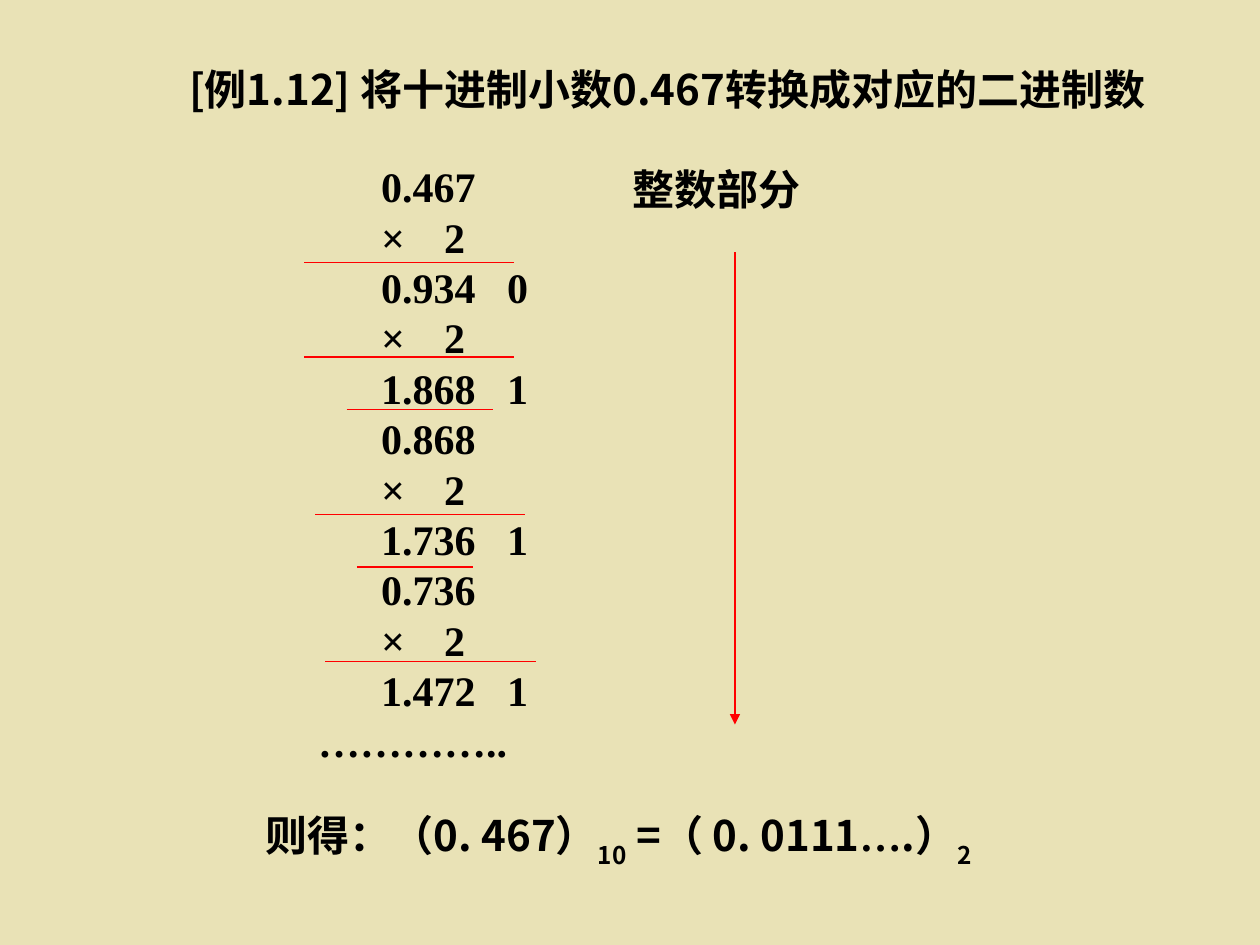
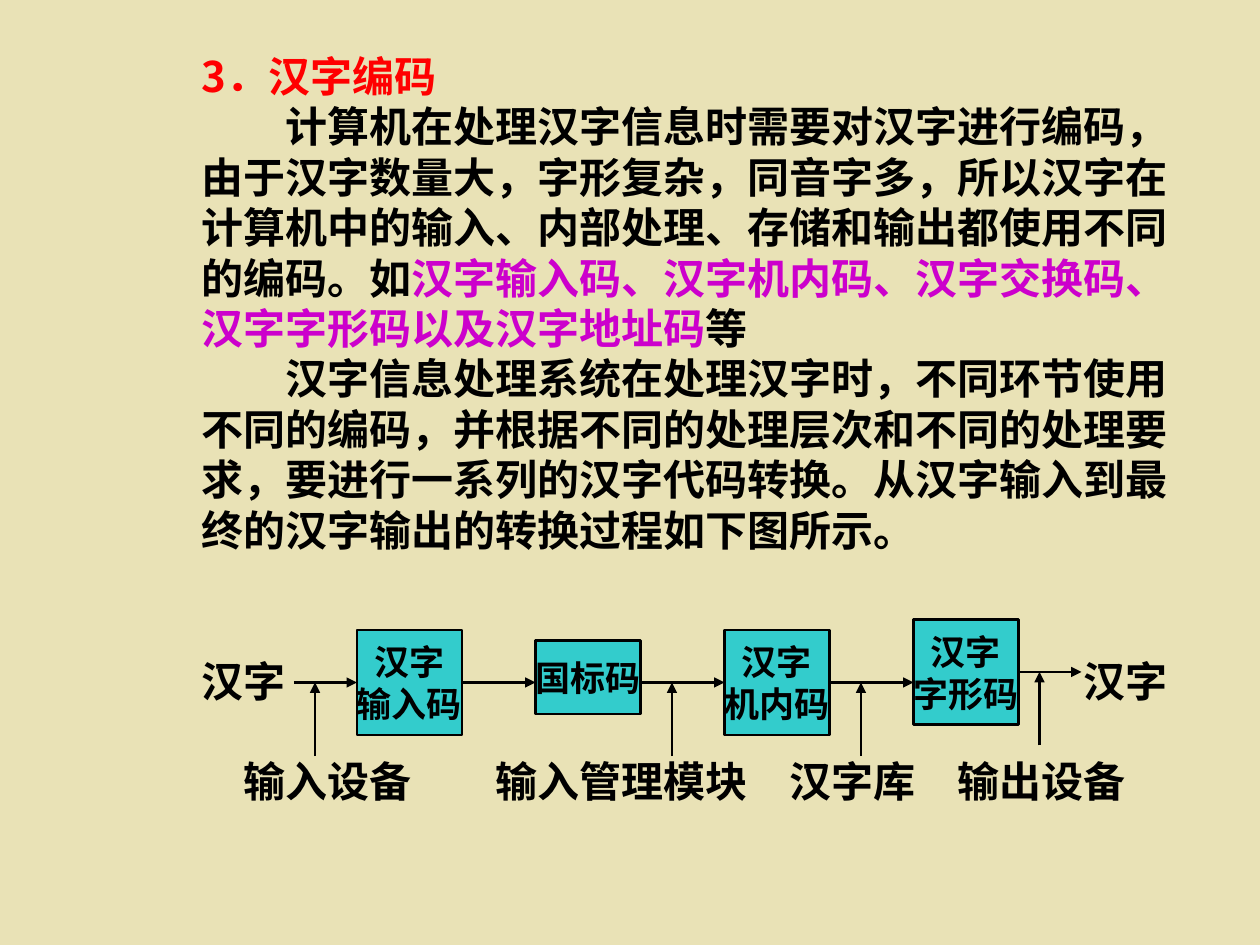
from dataclasses import dataclass
from lxml.etree import SubElement as Sub
from pptx import Presentation
from pptx.dml.color import RGBColor as RGB
from pptx.enum.shapes import MSO_CONNECTOR as Conn, MSO_SHAPE as Kind
from pptx.enum.text import MSO_ANCHOR as Anchor, MSO_AUTO_SIZE as Fit, PP_ALIGN as Align
from pptx.oxml.ns import qn
from pptx.util import Emu, Inches, Pt

# Shared look
HUE = {"back": "E9E2B6", "ink": "000000", "red": "FF0000", "pink": "CC00CC", "box": "33CCCC"}
HAN, ROMAN = "Noto Sans CJK SC", "Times New Roman"
SIZE, LEAD = 24, 28.8   # text size and line pitch in points
COLS, ROWS = 120, 90    # grid of the whole slide
EM, STEP = 4, 4.8       # one character and one text line, in grid cells
LEFT = 19.2             # left edge of running text

prs = Presentation()
prs.slide_width, prs.slide_height = Inches(10), Inches(7.5)
UNIT = prs.slide_width / COLS
fill = prs.slide_master.background.fill
fill.solid()
fill.fore_color.rgb = RGB.from_string(HUE["back"])


@dataclass
class Line:
    x1: float
    y1: float
    x2: float
    y2: float


@dataclass
class Box:
    x: float
    y: float
    high: float
    text: str
    wide: float = 10


@dataclass
class Label:
    col: int
    y: float
    text: str


def cell(n: float) -> Emu:
    return Emu(round(n * UNIT))


def paint(run, hue: str = "ink", face: str = HAN, size: float = SIZE, base: int = 0) -> None:
    font = run.font
    font.size, font.bold, font.name = Pt(size), True, face
    font.color.rgb = RGB.from_string(HUE[hue])
    props = run._r.get_or_add_rPr()
    Sub(props, qn("a:ea")).set("typeface", HAN)
    if base:
        props.set("baseline", str(base * 1000))


def pace(para, lead: float = LEAD, align=Align.LEFT, dent: float = 0, tabs=()) -> None:
    props = para._p.get_or_add_pPr()
    props.set("marL", "0")
    props.set("indent", str(cell(dent)))
    Sub(props, qn("a:buNone"))
    if tabs:
        stops = Sub(props, qn("a:tabLst"))
        for stop in tabs:
            tab = Sub(stops, qn("a:tab"))
            tab.set("pos", str(cell(stop)))
            tab.set("algn", "l")
    para.alignment, para.line_spacing = align, Pt(lead)
    para.space_before = para.space_after = Pt(0)


def place(shape, x: float, y: float, wide: float, high: float, wrap: bool = False):
    shape.left, shape.top, shape.width, shape.height = map(cell, (x, y, wide, high))
    frame = shape.text_frame
    frame.auto_size, frame.word_wrap = Fit.NONE, wrap
    frame.vertical_anchor = Anchor.TOP
    frame.margin_left = frame.margin_right = frame.margin_top = frame.margin_bottom = 0
    return frame


def start(text: str, x: float, y: float, hue: str):
    slide = prs.slides.add_slide(prs.slide_layouts[1])
    frame = place(slide.shapes.title, x, y, 98, STEP)
    frame.text = text
    pace(frame.paragraphs[0])
    paint(frame.paragraphs[0].runs[0], hue)
    return slide


def note(slide, x: float, y: float, parts: list) -> None:
    wide = EM * sum(len(text) for text, _ in parts)
    frame = place(slide.shapes.add_textbox(0, 0, 0, 0), x, y, wide, STEP)
    para = frame.paragraphs[0]
    pace(para)
    for text, style in parts:
        run = para.add_run()
        run.text = text
        paint(run, **style)


def draw(slide, line: Line, hue: str, width: float, arrow: bool = False) -> None:
    ends = map(cell, (line.x1, line.y1, line.x2, line.y2))
    link = slide.shapes.add_connector(Conn.STRAIGHT, *ends)
    link.line.color.rgb, link.line.width = RGB.from_string(HUE[hue]), Pt(width)
    if arrow:
        Sub(link.line._get_or_add_ln(), qn("a:tailEnd")).set("type", "triangle")
    Sub(link._element.spPr, qn("a:effectLst"))


def block(slide, box: Box) -> None:
    shape = slide.shapes.add_shape(Kind.RECTANGLE, 0, 0, 0, 0)
    shape.shadow.inherit = False
    shape.fill.solid()
    shape.fill.fore_color.rgb = RGB.from_string(HUE["box"])
    shape.line.color.rgb, shape.line.width = RGB.from_string(HUE["ink"]), Pt(1.5)
    frame = place(shape, box.x, box.y, box.wide, box.high)
    frame.vertical_anchor = Anchor.MIDDLE
    frame.text = box.text
    for para in frame.paragraphs:
        pace(para, 24, Align.CENTER)
        paint(para.runs[0], size=20)


def sums() -> None:
    slide = start("[例1.12] 将十进制小数0.467转换成对应的二进制数", 18, 6, "ink")
    # Repeated doubling, with the whole part on the right
    times, dots = "\t×\t2", "………….."
    work = ["\t0.467", times, "\t0.934\t0", times, "\t1.868\t1", "\t0.868", times,
            "\t1.736\t1", "\t0.736", times, "\t1.472\t1", dots]
    frame = place(slide.placeholders[1], 30.3, 15.3, 40, len(work) * STEP)
    frame.text = "\n".join(work)
    for para, text in zip(frame.paragraphs, work):
        pace(para, tabs=(2.9, 10.1) if text == times else (4.9, 31.9))
        for run in para.runs:
            paint(run, face=ROMAN)
    note(slide, 60.2, 15.6, [("整数部分", {})])
    # Rules under the sums
    for x, y, wide in [(29, 25, 20), (29, 34, 20), (33, 39, 14), (30, 49, 20),
                       (34, 54, 11), (31, 63, 20)]:
        draw(slide, Line(x, y, x + wide, y), "red", 1)
    draw(slide, Line(70, 24, 70, 69), "red", 1, True)
    # Result
    sub = {"base": -30}
    note(slide, 25.3, 78, [("则得：（0. 467）", {}), ("10", sub), (" =（ 0. 0111", {}),
                           ("…", {"face": ROMAN}), (".）", {}), ("2", sub)])


def codes() -> None:
    slide = start("3．汉字编码", LEFT, STEP, "red")
    # Running text
    frame = place(slide.placeholders[1], LEFT, 2 * STEP, 95.6, 9 * STEP, True)
    paras = [
        [("计算机在处理汉字信息时需要对汉字进行编码，由于汉字数量大，字形复杂，同音字多，"
          "所以汉字在计算机中的输入、内部处理、存储和输出都使用不同的编码。如", "ink"),
         ("汉字输入码、汉字机内码、汉字交换码、汉字字形码以及汉字地址码", "pink"), ("等", "ink")],
        [("汉字信息处理系统在处理汉字时，不同环节使用不同的编码，并根据不同的处理层次和不同的"
          "处理要求，要进行一系列的汉字代码转换。从汉字输入到最终的汉字输出的转换过程如下图所示。",
          "ink")]]
    frame.text = "\n".join("" for _ in paras)
    for para, parts in zip(frame.paragraphs, paras):
        pace(para, dent=2 * EM)
        for text, hue in parts:
            run = para.add_run()
            run.text = text
            paint(run, hue)
    # Labels on the character grid
    ends, feet = 13 * STEP, 15 * STEP
    for tag in [Label(0, ends, "汉字"), Label(21, ends, "汉字"), Label(1, feet, "输入设备"),
                Label(7, feet, "输入管理模块"), Label(14, feet, "汉字库"),
                Label(18, feet, "输出设备")]:
        note(slide, LEFT + tag.col * EM, tag.y, [(tag.text, {})])
    # Stages of the conversion
    for box in [Box(34, 60, 10, "汉字\n输入码"), Box(51, 61, 7, "国标码"),
                Box(69, 60, 10, "汉字\n机内码"), Box(87, 59, 10, "汉字\n字形码")]:
        block(slide, box)
    # Flow to the right, then feeds from below
    flow = [(28, 34, 65), (44, 51, 65), (61, 69, 65), (79, 87, 65), (97, 103, 64)]
    feeds = [(30, 65), (64, 65), (82, 65), (99, 64)]
    arrows = [Line(a, y, b, y) for a, b, y in flow] + [Line(x, y + 7, x, y) for x, y in feeds]
    for arrow in arrows:
        draw(slide, arrow, "ink", 1.5, True)


if __name__ == "__main__":
    sums()
    codes()
    prs.save("out.pptx")
